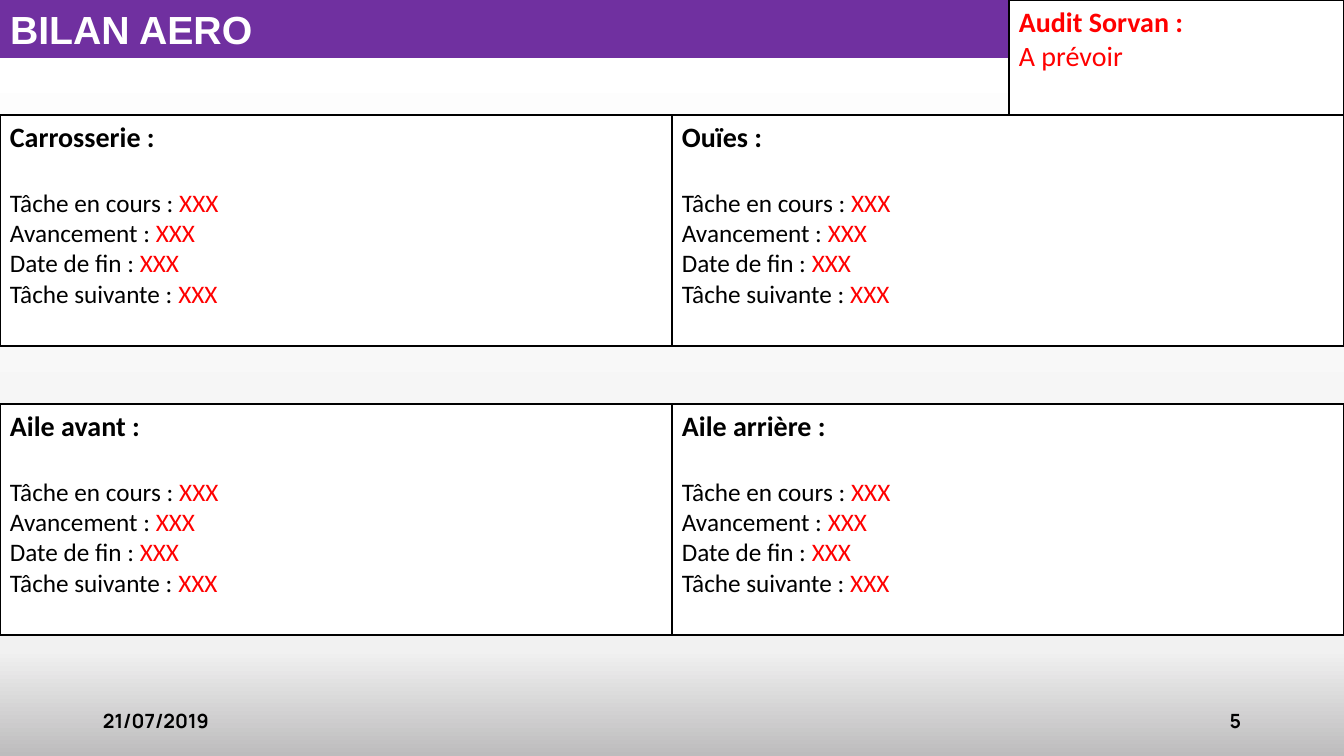
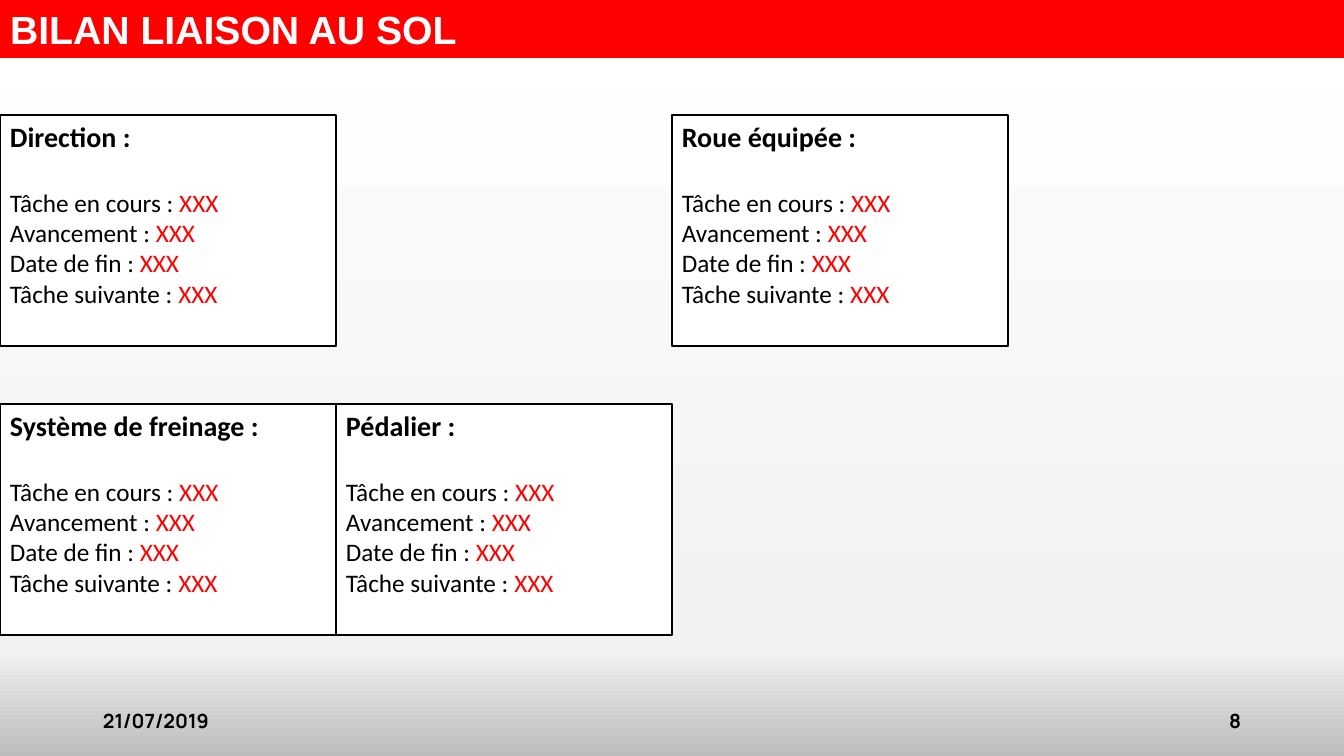
from copy import deepcopy

from pptx import Presentation, util as u
from pptx.dml.color import RGBColor
from pptx.enum import shapes, text
from pptx.oxml.ns import qn

BLACK = RGBColor(0x00, 0x00, 0x00)
WHITE = RGBColor(0xFF, 0xFF, 0xFF)
RED = RGBColor(0xFF, 0x00, 0x00)
PURPLE = RGBColor(0x70, 0x30, 0xA0)
BACKDROP = [
    (0, WHITE),
    (0.86, RGBColor(0xF1, 0xF1, 0xF1)),
    (1, RGBColor(0xBD, 0xBC, 0xBD)),
]

TITLE = dict(name="Arial", size=u.Pt(28), bold=True)
HEADING = dict(name="Calibri", size=u.Pt(20), bold=True)
NOTE = dict(name="Calibri", size=u.Pt(20), bold=False)
TASK = dict(name="Calibri", size=u.Pt(18), bold=False)
FOOTER = dict(name="Manrope", size=u.Pt(14), bold=True)

DATE = "21/07/2019"
FIELDS = ["Tâche en cours : ", "Avancement : ", "Date de fin : ", "Tâche suivante : "]
VALUE = "XXX"
# Each part: heading, grid column, grid row, columns spanned
SLIDES = [
    dict(title="BILAN AERO", band=PURPLE, number="5",
         audit=("Audit Sorvan :", "A prévoir"),
         parts=[("Carrosserie :", 0, 0, 2), ("Ouïes :", 2, 0, 2),
                ("Aile avant :", 0, 1, 2), ("Aile arrière :", 2, 1, 2)]),
    dict(title="BILAN LIAISON AU SOL", band=RED, number="8", audit=None,
         parts=[("Direction :", 0, 0, 1), ("Roue équipée :", 2, 0, 1),
                ("Système de freinage :", 0, 1, 1), ("Pédalier :", 1, 1, 1)]),
]

# Lengths in px, 100.8 to the inch
WIDTH, HEIGHT = 1344, 756
BAND_H = 58
COL_W = WIDTH // 4
ROW_TOP, ROW_H, ROW_PITCH = 115, 231, 289
FOOT_X, FOOT_Y, FOOT_W, FOOT_H = 93, 701, 302, 40


def px(n):
    return u.Emu(round(n * 914400 / 100.8))


def box(*lengths):
    return [px(n) for n in lengths]


def add_run(p, words, style, color):
    r = p.add_run()
    r.text = words
    for key, value in style.items():
        setattr(r.font, key, value)
    r.font.color.rgb = color


def add_panel(s, x, y, w, h):
    """Add a white, black-edged rectangle and return its text frame."""
    sp = s.shapes.add_shape(shapes.MSO_SHAPE.RECTANGLE, *box(x, y, w, h))
    sp.shadow.inherit = False
    sp.fill.solid()
    sp.fill.fore_color.rgb = WHITE
    sp.line.color.rgb = BLACK
    sp.line.width = u.Pt(2)
    tf = sp.text_frame
    tf.word_wrap = True
    tf.vertical_anchor = text.MSO_ANCHOR.TOP
    return tf


def add_line(tf, first=False):
    p = tf.paragraphs[0] if first else tf.add_paragraph()
    p.alignment = text.PP_ALIGN.LEFT
    return p


def add_part(s, heading, col, row, span):
    tf = add_panel(s, col * COL_W, ROW_TOP + row * ROW_PITCH, span * COL_W, ROW_H)
    add_run(add_line(tf, first=True), heading, HEADING, BLACK)
    for i, field in enumerate(FIELDS):
        p = add_line(tf)
        if i == 0:
            p.space_before = u.Pt(24)
        add_run(p, field, TASK, BLACK)
        add_run(p, VALUE, TASK, RED)


def add_audit(s, heading, note):
    tf = add_panel(s, 3 * COL_W + 1, 0, COL_W - 1, ROW_TOP)
    add_run(add_line(tf, first=True), heading, HEADING, RED)
    add_run(add_line(tf), note, NOTE, RED)


def add_title(s, words, color):
    sp = s.shapes.title
    sp.left, sp.top, sp.width, sp.height = box(0, 0, WIDTH, BAND_H)
    sp.fill.solid()
    sp.fill.fore_color.rgb = color
    tf = sp.text_frame
    tf.auto_size = text.MSO_AUTO_SIZE.NONE
    tf.vertical_anchor = text.MSO_ANCHOR.TOP
    add_run(add_line(tf, first=True), words, TITLE, WHITE)


def add_footer(s, number):
    right_x = WIDTH - FOOT_X - FOOT_W
    for x, words, align in [(FOOT_X, DATE, text.PP_ALIGN.LEFT),
                            (right_x, number, text.PP_ALIGN.RIGHT)]:
        tf = s.shapes.add_textbox(*box(x, FOOT_Y, FOOT_W, FOOT_H)).text_frame
        tf.word_wrap = True
        tf.vertical_anchor = text.MSO_ANCHOR.MIDDLE
        p = tf.paragraphs[0]
        p.alignment = align
        add_run(p, words, FOOTER, BLACK)


def set_backdrop(master):
    fill = master.background.fill
    fill.gradient()
    fill.gradient_angle = 270
    stops = master.element.find(".//" + qn("a:gsLst"))
    stops.append(deepcopy(stops[0]))
    for stop, (position, color) in zip(fill.gradient_stops, BACKDROP):
        stop.position = position
        stop.color.rgb = color


def main():
    prs = Presentation()
    prs.slide_width, prs.slide_height = box(WIDTH, HEIGHT)
    set_backdrop(prs.slide_master)
    title_only = prs.slide_layouts[5]
    for content in SLIDES:
        s = prs.slides.add_slide(title_only)
        add_title(s, content["title"], content["band"])
        for part in content["parts"]:
            add_part(s, *part)
        add_footer(s, content["number"])
        if content["audit"]:
            add_audit(s, *content["audit"])
    prs.save("out.pptx")


if __name__ == "__main__":
    main()
